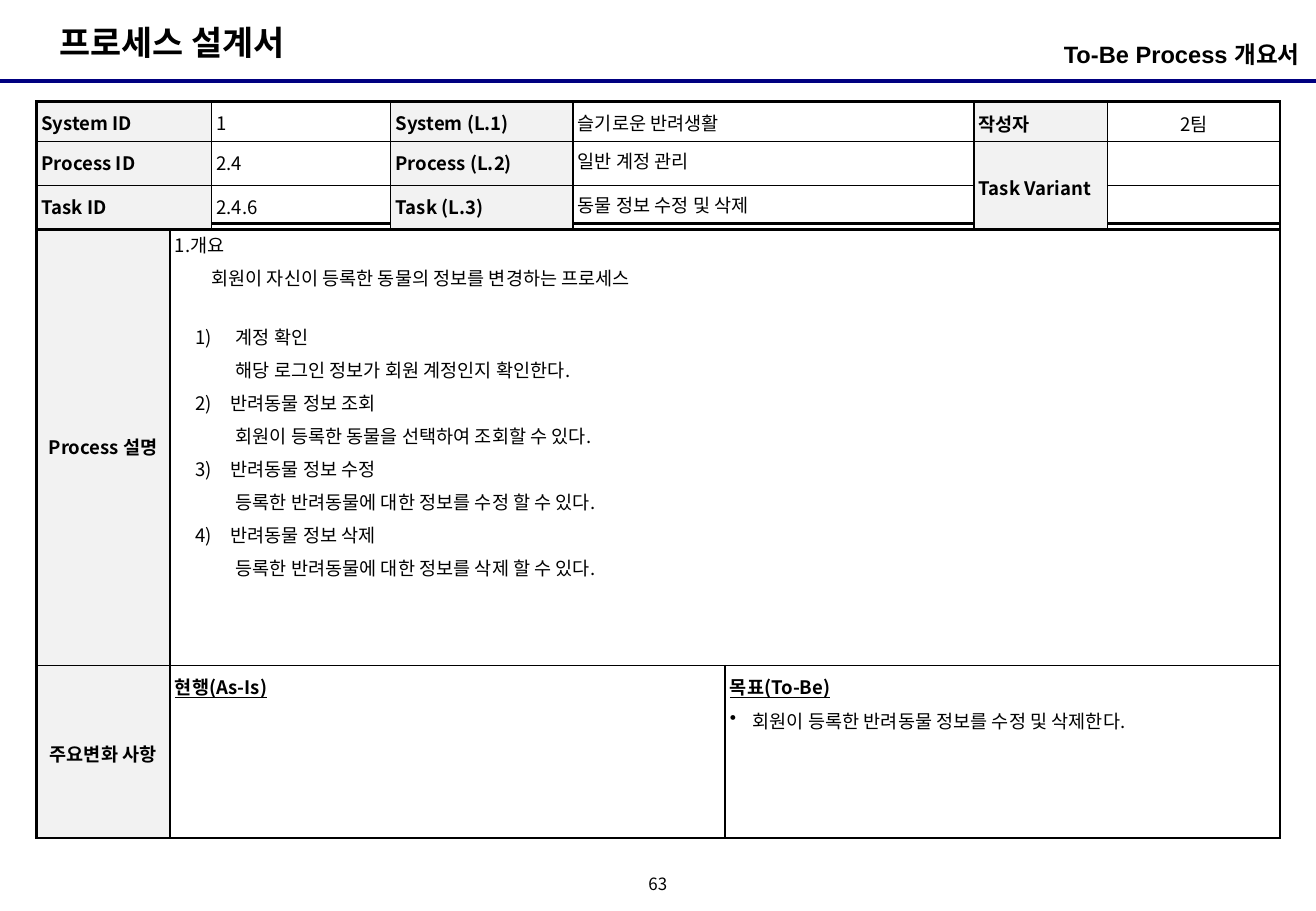
import pptx
import pptx.util
import pptx.dml.color
import pptx.enum.shapes
import pptx.enum.text
import pptx.oxml.ns
from lxml import etree

Pt = pptx.util.Pt
qn = pptx.oxml.ns.qn
ALIGN = pptx.enum.text.PP_ALIGN
MID = pptx.enum.text.MSO_ANCHOR.MIDDLE
NOTO = "Noto Sans CJK KR"
BLACK, GREY, NAVY = "000000", "F2F2F2", "000080"

# Content: header table
HEAD = [
    ["System ID", "1", "System (L.1)", "슬기로운 반려생활", "작성자", "2팀"],
    ["Process ID", "2.4", "Process (L.2)", "일반 계정 관리", "Task Variant", ""],
    ["Task ID", "2.4.6", "Task (L.3)", "동물 정보 수정 및 삭제", "", ""],
]
HEAD_COLS = [103.7, 106.3, 108, 237.6, 79.3, 102.3]
HEAD_ROWS = [23.7, 26.1, 26.1]

# Content: process description
INTRO = ["1.개요", "회원이 자신이 등록한 동물의 정보를 변경하는 프로세스"]
STEPS = [
    ("계정 확인", "해당 로그인 정보가 회원 계정인지 확인한다."),
    ("반려동물 정보 조회", "회원이 등록한 동물을 선택하여 조회할 수 있다."),
    ("반려동물 정보 수정", "등록한 반려동물에 대한 정보를 수정 할 수 있다."),
    ("반려동물 정보 삭제", "등록한 반려동물에 대한 정보를 삭제 할 수 있다."),
]
SIDES = ["Process 설명", "주요변화 사항"]
AS_IS, TO_BE = "현행(As-Is)", "목표(To-Be)"
GOAL = "회원이 등록한 반려동물 정보를 수정 및 삭제한다."
BODY_COLS = [79.2, 329, 329]
BODY_ROWS = [262.1, 102.2]

# Content: titles (text, left, top, width, height, size, align)
TITLES = [
    ("프로세스 설계서", 28.1, 9.4, 162.7, 31.7, 20, ALIGN.LEFT),
    ("To-Be Process 개요서", 532.1, 20.2, 238.3, 28.1, 14, ALIGN.RIGHT),
]


def color(code):
    return pptx.dml.color.RGBColor.from_string(code)


def style(par, text, size=11, bold=False, line=False, face=NOTO, align=None,
          lead=1.1, gap=0, left=0, hang=0, mark=None):
    par.text = text
    par.alignment = align
    par.line_spacing = lead
    if gap:
        par.space_before = Pt(gap)
    props = par._p.get_or_add_pPr()
    if left:
        props.set("marL", str(Pt(left)))
        props.set("indent", str(Pt(-hang)))
    if isinstance(mark, int):
        etree.SubElement(props, qn("a:buAutoNum"),
                         type="arabicParenR", startAt=str(mark))
    elif mark:
        etree.SubElement(props, qn("a:buChar"), char=mark)
    font = par.font
    font.size, font.bold, font.underline = Pt(size), bold, line
    font.color.rgb = color(BLACK)
    font.name = face
    etree.SubElement(props.find(qn("a:defRPr")), qn("a:ea"), typeface=NOTO)


def write(frame, items):
    for i, (text, opts) in enumerate(items):
        par = frame.add_paragraph() if i else frame.paragraphs[0]
        style(par, text, **opts)


def box(text, x, y, w, h, pad, **opts):
    frame = slide.shapes.add_textbox(Pt(x), Pt(y), Pt(w), Pt(h)).text_frame
    frame.word_wrap = True
    frame.margin_left = frame.margin_right = Pt(pad[0])
    frame.margin_top = frame.margin_bottom = Pt(pad[1])
    write(frame, [(text, opts)])
    return frame


def edges(cell, outer):
    props = cell._tc.get_or_add_tcPr()
    for side, thick in zip("LRTB", outer):
        line = etree.SubElement(props, qn("a:ln" + side),
                                w=str(Pt(1.5 if thick else 1)))
        fill = etree.SubElement(line, qn("a:solidFill"))
        etree.SubElement(fill, qn("a:srgbClr"), val=BLACK)


def grid(top, cols, rows, merge, greys, plain):
    n, m = len(rows), len(cols)
    table = slide.shapes.add_table(n, m, Pt(21.6), Pt(top), Pt(sum(cols)),
                                   Pt(sum(rows))).table
    table.first_row = table.horz_banding = False
    for col, w in zip(table.columns, cols):
        col.width = Pt(w)
    for row, h in zip(table.rows, rows):
        row.height = Pt(h)
    first, last = merge
    table.cell(*first).merge(table.cell(*last))
    for r in range(n):
        for c in range(m):
            cell = table.cell(r, c)
            cell.margin_left = cell.margin_right = Pt(2.9)
            cell.margin_top = cell.margin_bottom = Pt(2.9)
            down, over = ((cell.span_height, cell.span_width)
                          if cell.is_merge_origin else (1, 1))
            edges(cell, (c == 0, c + over == m, r == 0, r + down == n))
            if c in greys or plain:
                cell.fill.solid()
                cell.fill.fore_color.rgb = color(GREY if c in greys else plain)
            else:
                cell.fill.background()
    return table


deck = pptx.Presentation()
deck.slide_width, deck.slide_height = Pt(780), Pt(540)
slide = deck.slides.add_slide(deck.slide_layouts[6])

# Rule and titles
rule = slide.shapes.add_connector(pptx.enum.shapes.MSO_CONNECTOR.STRAIGHT,
                                  0, Pt(48.2), Pt(780), Pt(48.2))
rule.line.color.rgb = color(NAVY)
rule.line.width = Pt(2.25)
etree.SubElement(rule._element.spPr, qn("a:effectLst"))
for text, x, y, w, h, size, align in TITLES:
    pad = (7.2 if align == ALIGN.LEFT else 0, 3.6)
    box(text, x, y, w, h, pad, size=size, bold=True, face="Arial",
        align=align, lead=1)

# Page number
page = box("63", 378, 516.2, 23.8, 18, (0, 0), size=10,
           align=ALIGN.CENTER, lead=0.8)
page.vertical_anchor = MID

# Description table, behind the header table
body = grid(132.5, BODY_COLS, BODY_ROWS, ((0, 1), (0, 2)), {0}, "FFFFFF")
for r, text in enumerate(SIDES):
    side = body.cell(r, 0)
    side.vertical_anchor = MID
    write(side.text_frame, [(text, dict(bold=True, align=ALIGN.CENTER))])
lines = [(INTRO[0], dict(left=18, hang=18)),
         (INTRO[1], dict(left=21.6, gap=2))]
for k, (name, note) in enumerate(STEPS, 1):
    left = 36 if k == 1 else 33
    lines.append((name, dict(left=left, hang=left - 12.2, mark=k,
                             gap=17.5 if k == 1 else 2)))
    lines.append((note, dict(left=36, gap=2)))
write(body.cell(0, 1).text_frame, lines)
title = dict(bold=True, line=True, left=6.5, hang=6.5)
write(body.cell(1, 1).text_frame, [(AS_IS, title)])
write(body.cell(1, 2).text_frame, [
    (TO_BE, title), (GOAL, dict(left=13.5, hang=13.5, gap=2.2, mark="•"))])

# Header table
head = grid(60.2, HEAD_COLS, HEAD_ROWS, ((1, 4), (2, 4)), {0, 2, 4}, None)
for r, row in enumerate(HEAD):
    for c, text in enumerate(row):
        cell = head.cell(r, c)
        if cell.is_spanned:
            continue
        if c > 3:
            cell.vertical_anchor = MID
        write(cell.text_frame, [(text, dict(
            bold=c % 2 == 0, lead=1 if c == 3 and r else 1.1,
            align=ALIGN.CENTER if c == 5 else None))])

deck.save("out.pptx")
